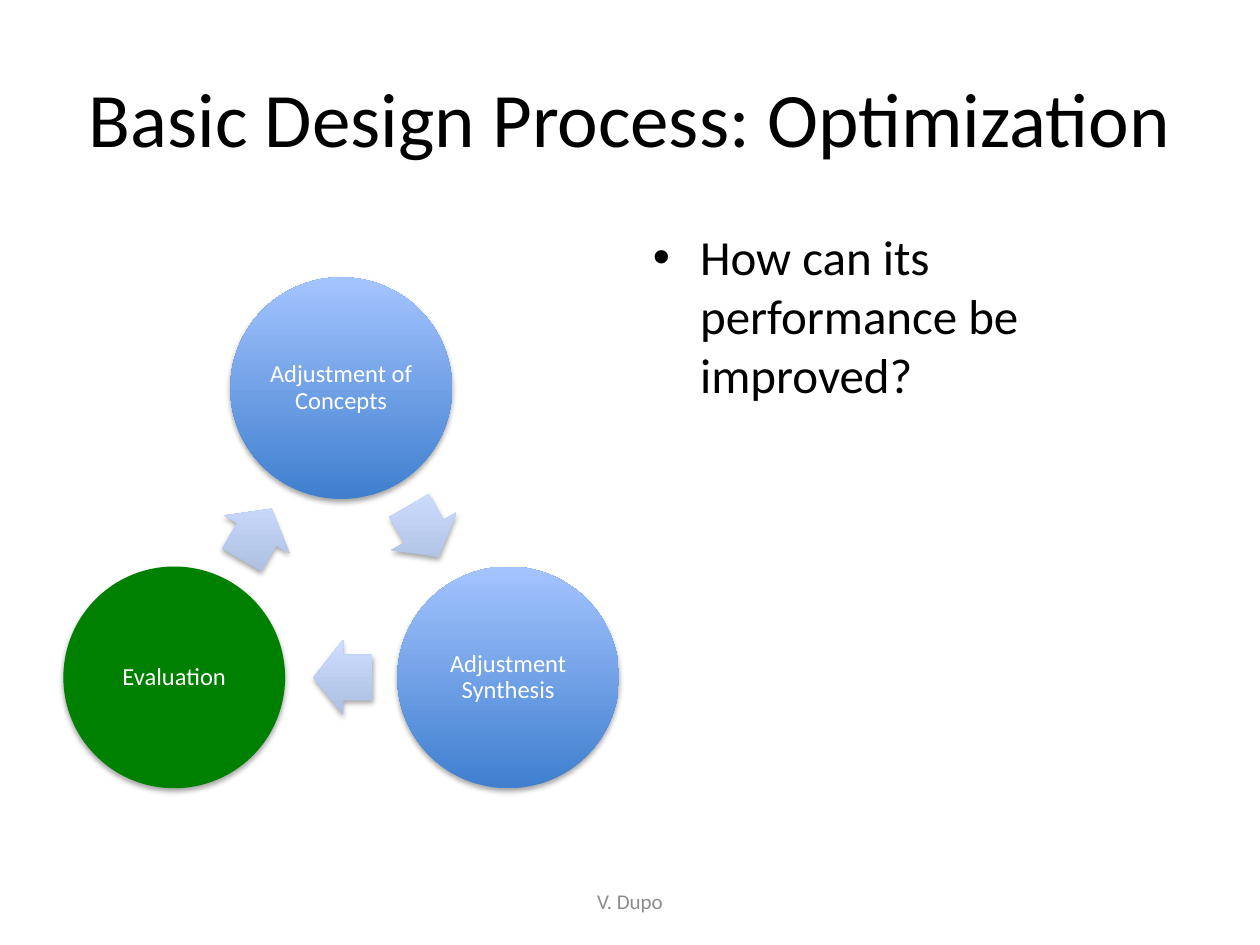
import math

from lxml import etree
from pptx import Presentation
from pptx.dml.color import RGBColor
from pptx.enum import shapes, text
from pptx.oxml import parse_xml
from pptx.oxml.ns import nsdecls, qn
from pptx.util import Pt

THEME = {
    "font": "Calibri",
    "black": "000000", "white": "FFFFFF", "grey": "8C8C8C",
    "step": ("3F7FCE", "A4C4FF"),
    "current": ("008000",),
    "arrow": ("ADBFE1", "CCDDFF"),
    "title": 44, "body": 28, "label": 14, "footer": 12,
}

TITLE = "Basic Design Process: Optimization"
QUESTION = "How can its performance be improved?"
FOOTER = "V. Dupo"
STEPS = [
    ("Adjustment of Concepts", "step"),
    ("Adjustment Synthesis", "step"),
    ("Evaluation", "current"),
]

CENTER_X, CENTER_Y, RADIUS = 195, 332, 110.2
DIAMETER = 126.7
ARROW_LENGTH, ARROW_WIDTH, ARROW_BACKSET = 33.8, 43.2, 1


def write(shape, words, size, color, align, anchor, inset=None):
    frame = shape.text_frame
    frame.word_wrap = True
    frame.vertical_anchor = anchor
    if inset is not None:
        frame.margin_left = frame.margin_right = Pt(inset)
        frame.margin_top = frame.margin_bottom = Pt(inset)
    frame.text = words
    para = frame.paragraphs[0]
    para.alignment = align
    for span in para.runs:
        span.font.name = THEME["font"]
        span.font.size = Pt(THEME[size])
        span.font.color.rgb = RGBColor.from_string(THEME[color])
    return para


def add_text(page, left, top, width, height, *style):
    box = page.shapes.add_textbox(Pt(left), Pt(top), Pt(width), Pt(height))
    return write(box, *style)


def add_bullet(para, indent):
    properties = para._p.get_or_add_pPr()
    properties.set("marL", str(Pt(indent)))
    properties.set("indent", str(-Pt(indent)))
    etree.SubElement(properties, qn("a:buFont")).set("typeface", "Arial")
    etree.SubElement(properties, qn("a:buChar")).set("char", "•")


def add_shadow(shape):
    shape._element.spPr.append(parse_xml(
        f'<a:effectLst {nsdecls("a")}>'
        f'<a:outerShdw blurRad="{Pt(3.1)}" dist="{Pt(1.8)}" dir="5400000" rotWithShape="0">'
        '<a:srgbClr val="000000"><a:alpha val="35000"/></a:srgbClr>'
        '</a:outerShdw></a:effectLst>'))


def add_centered(page, kind, x, y, width, height, colors):
    shape = page.shapes.add_shape(
        kind, Pt(x - width / 2), Pt(y - height / 2), Pt(width), Pt(height))
    if len(colors) == 1:
        shape.fill.solid()
        shape.fill.fore_color.rgb = RGBColor.from_string(colors[0])
    else:
        shape.fill.gradient()
        shape.fill.gradient_angle = 90
        for stop, color in zip(shape.fill.gradient_stops, colors):
            stop.color.rgb = RGBColor.from_string(color)
        shape._element.spPr.find(qn("a:gradFill")).set("rotWithShape", "0")
    shape.line.fill.background()
    add_shadow(shape)
    return shape


def add_cycle(page):
    turn = 360 / len(STEPS)
    for index, (label, role) in enumerate(STEPS):
        angle = math.radians(index * turn - 90)
        circle = add_centered(
            page, shapes.MSO_SHAPE.OVAL,
            CENTER_X + RADIUS * math.cos(angle), CENTER_Y + RADIUS * math.sin(angle),
            DIAMETER, DIAMETER, THEME[role])
        para = write(circle, label, "label", "white",
                     text.PP_ALIGN.CENTER, text.MSO_ANCHOR.MIDDLE, 1.44)
        para.line_spacing = 0.9

        rotation = (index + 0.5) * turn
        heading = math.radians(rotation)
        reach = RADIUS * math.cos(math.radians(turn / 2))
        arrow = add_centered(
            page, shapes.MSO_SHAPE.RIGHT_ARROW,
            CENTER_X + reach * math.sin(heading) - ARROW_BACKSET * math.cos(heading),
            CENTER_Y - reach * math.cos(heading) - ARROW_BACKSET * math.sin(heading),
            ARROW_LENGTH, ARROW_WIDTH, THEME["arrow"])
        arrow.rotation = rotation
        arrow.adjustments[0] = 0.6
        arrow.adjustments[1] = 0.5


def main():
    deck = Presentation()
    deck.slide_width, deck.slide_height = Pt(720), Pt(540)
    page = deck.slides.add_slide(deck.slide_layouts[6])
    center, middle = text.PP_ALIGN.CENTER, text.MSO_ANCHOR.MIDDLE
    add_text(page, 36, 21.6, 648, 90, TITLE, "title", "black", center, middle)
    add_cycle(page)
    question = add_text(page, 366, 126, 318, 356.4, QUESTION, "body", "black",
                        text.PP_ALIGN.LEFT, text.MSO_ANCHOR.TOP)
    add_bullet(question, 27)
    add_text(page, 246, 500.4, 228, 28.8, FOOTER, "footer", "grey", center, middle)
    deck.save("out.pptx")


if __name__ == "__main__":
    main()
